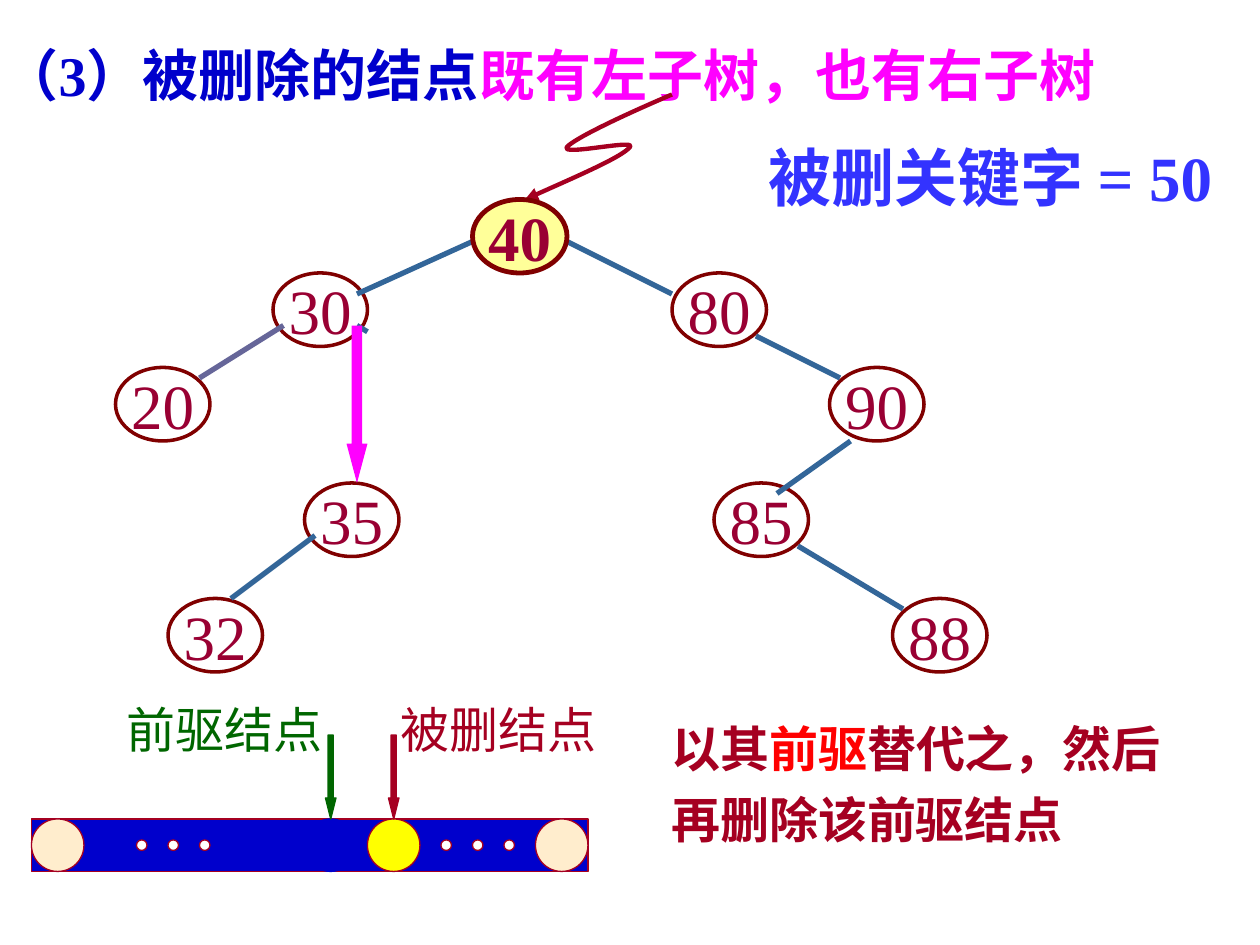
"""Build a slide on deleting a binary search tree node that has two subtrees."""
from lxml.etree import SubElement
from pptx import Presentation
from pptx.dml.color import RGBColor
from pptx.enum.shapes import MSO_CONNECTOR as Connector, MSO_SHAPE as Shape
from pptx.enum.text import MSO_ANCHOR as Anchor, MSO_AUTO_SIZE as AutoSize, PP_ALIGN as Align
from pptx.oxml.ns import qn
from pptx.util import Inches, Pt

FONT = "Times New Roman"
COLORS = {
    "navy": "0000CC", "magenta": "FF00FF", "indigo": "3333FF", "crimson": "A50021",
    "red": "FF0000", "green": "006600", "key": "990033", "outline": "800000",
    "edge": "336699", "soft_edge": "666699", "root": "FFFF99", "cream": "FFEDCD",
    "yellow": "FFFF00", "white": "FFFFFF",
}

TITLE = [("（3）被删除的结点", "navy"), ("既有左子树，也有右子树", "magenta")]
KEYWORD = [("被删关键字 = 50", "indigo")]
ADVICE = [("以其", "crimson"), ("前驱", "red"), ("替代之，然后再删除该前驱结点", "crimson")]
LABELS = [("被删结点", "crimson", 3.08), ("前驱结点", "green", 0.91)]

CELLS_PER_INCH = 12
NODE_SIZE = (9, 7)
NODES = {"30": (26, 26), "80": (64, 26), "20": (11, 35), "90": (79, 35), "85": (68, 46),
         "35": (29, 46), "88": (85, 57), "32": (16, 57)}
ROOT = ("40", (45, 19))
EDGES = [
    ((45, 23), (34, 28), "edge"), ((27, 31), (19, 36), "soft_edge"),
    ((54, 23), (64, 28), "edge"), ((34, 31), (35, 31.6), "edge"),
    ((72, 32), (80, 36), "edge"), ((81, 42), (74, 47), "edge"),
    ((76, 52), (86, 58), "edge"), ((30, 51), (22, 57), "edge"),
]
POINTER = [(64, 9), (59.3, 11), (54.7, 13.2), (54, 14), (53.3, 14.9), (60.7, 13.2),
           (60, 14), (59.3, 14.9), (54.7, 16.9), (50, 19)]
BAR = (3, 78, 53, 5)
SLOTS = [(3, "cream", "crimson"), (51, "cream", "crimson"),
         (35, "yellow", "crimson"), (29, "navy", "navy")]
DOTS = [start + 3 * step for start in (13, 42) for step in range(3)]
ARROWS = [((33, 31, 2, 15), "magenta", None, 1.875),
          ((37, 70, 1, 8), "crimson", "crimson", 2),
          ((31, 70, 1, 8), "green", "green", 2)]


def color(name):
    return RGBColor.from_string(COLORS[name])


def cells(*values):
    return [Inches(value / CELLS_PER_INCH) for value in values]


def assign(target, formats):
    for attribute, value in formats.items():
        setattr(target, attribute, value)


def write(frame, runs, size, bold=False, **paragraph_format):
    paragraph = frame.paragraphs[0]
    assign(paragraph, paragraph_format)
    for words, ink in runs:
        run = paragraph.add_run()
        run.text = words
        assign(run.font, {"name": FONT, "size": Pt(size), "bold": bold})
        run.font.color.rgb = color(ink)


def paint(part, fill, line, width=0.75):
    part.shadow.inherit = False
    if fill:
        part.fill.solid()
        part.fill.fore_color.rgb = color(fill)
    else:
        part.fill.background()
    if line:
        part.line.color.rgb = color(line)
        part.line.width = Pt(width)
    else:
        part.line.fill.background()


def add_part(slide, kind, box, fill, line, width=0.75):
    part = slide.shapes.add_shape(kind, *cells(*box))
    paint(part, fill, line, width)
    return part


def add_node(slide, key, corner, fill=None, width=2, bold=False):
    node = add_part(slide, Shape.OVAL, corner + NODE_SIZE, fill, "outline", width)
    assign(node.text_frame, {"word_wrap": False, "vertical_anchor": Anchor.MIDDLE})
    write(node.text_frame, [(key, "key")], 36, bold, alignment=Align.CENTER)


def add_edge(slide, start, end, ink):
    edge = slide.shapes.add_connector(Connector.STRAIGHT, *cells(*start, *end))
    edge.line.color.rgb = color(ink)
    edge.line.width = Pt(3)
    SubElement(edge._element.spPr, qn("a:effectLst"))


def add_pointer(slide):
    start, *rest = [cells(*point) for point in POINTER]
    builder = slide.shapes.build_freeform(*start)
    builder.add_line_segments(rest, close=False)
    pointer = builder.convert_to_shape()
    paint(pointer, None, "crimson", 2.5)
    outline = pointer._element.spPr.find(".//" + qn("a:path"))
    segments = outline.findall(qn("a:lnTo"))
    for first in range(0, len(segments), 3):
        curve = SubElement(outline, qn("a:cubicBezTo"))
        for segment in segments[first:first + 3]:
            curve.append(segment[0])
            outline.remove(segment)
    SubElement(pointer.line._get_or_add_ln(), qn("a:tailEnd"), type="triangle")


def add_words(slide, box, runs, size, bold=False, wrap=True, **paragraph_format):
    frame = slide.shapes.add_textbox(*map(Inches, box)).text_frame
    assign(frame, {"word_wrap": wrap, "auto_size": AutoSize.NONE})
    write(frame, runs, size, bold, **paragraph_format)


def add_title(slide):
    title = slide.shapes.title
    box = zip(("left", "top", "width", "height"), map(Inches, (-0.08, 0.27, 8.9, 0.63)))
    assign(title, dict(box))
    assign(title.text_frame, {"word_wrap": True, "auto_size": AutoSize.NONE,
                              "vertical_anchor": Anchor.TOP})
    write(title.text_frame, TITLE, 32, True, alignment=Align.LEFT)


def add_tree(slide):
    for key, corner in NODES.items():
        add_node(slide, key, corner)
    for edge in EDGES:
        add_edge(slide, *edge)
    add_pointer(slide)
    add_node(slide, *ROOT, fill="root", width=2.75, bold=True)


def add_sequence(slide):
    add_part(slide, Shape.RECTANGLE, BAR, "navy", "crimson")
    for left, fill, line in SLOTS:
        add_part(slide, Shape.OVAL, (left, BAR[1], BAR[3], BAR[3]), fill, line)
    for left in DOTS:
        add_part(slide, Shape.OVAL, (left, BAR[1] + 2, 1, 1), "white", "crimson")


def main():
    deck = Presentation()
    assign(deck, {"slide_width": Inches(10), "slide_height": Inches(7.5)})
    slide = deck.slides.add_slide(deck.slide_layouts[5])
    add_title(slide)
    add_tree(slide)
    add_sequence(slide)
    add_words(slide, (5.23, 5.56, 4.41, 1.22), ADVICE, 28, True, line_spacing=1.2)
    for box, fill, line, head in ARROWS:
        arrow = add_part(slide, Shape.DOWN_ARROW, box, fill, line)
        arrow.adjustments[0], arrow.adjustments[1] = 0.5, head
    for words, ink, left in LABELS:
        add_words(slide, (left, 5.5, 1.76, 0.57), [(words, ink)], 28, wrap=False)
    add_words(slide, (6, 1.05, 3.74, 0.7), KEYWORD, 36, True)
    deck.save("out.pptx")


if __name__ == "__main__":
    main()
